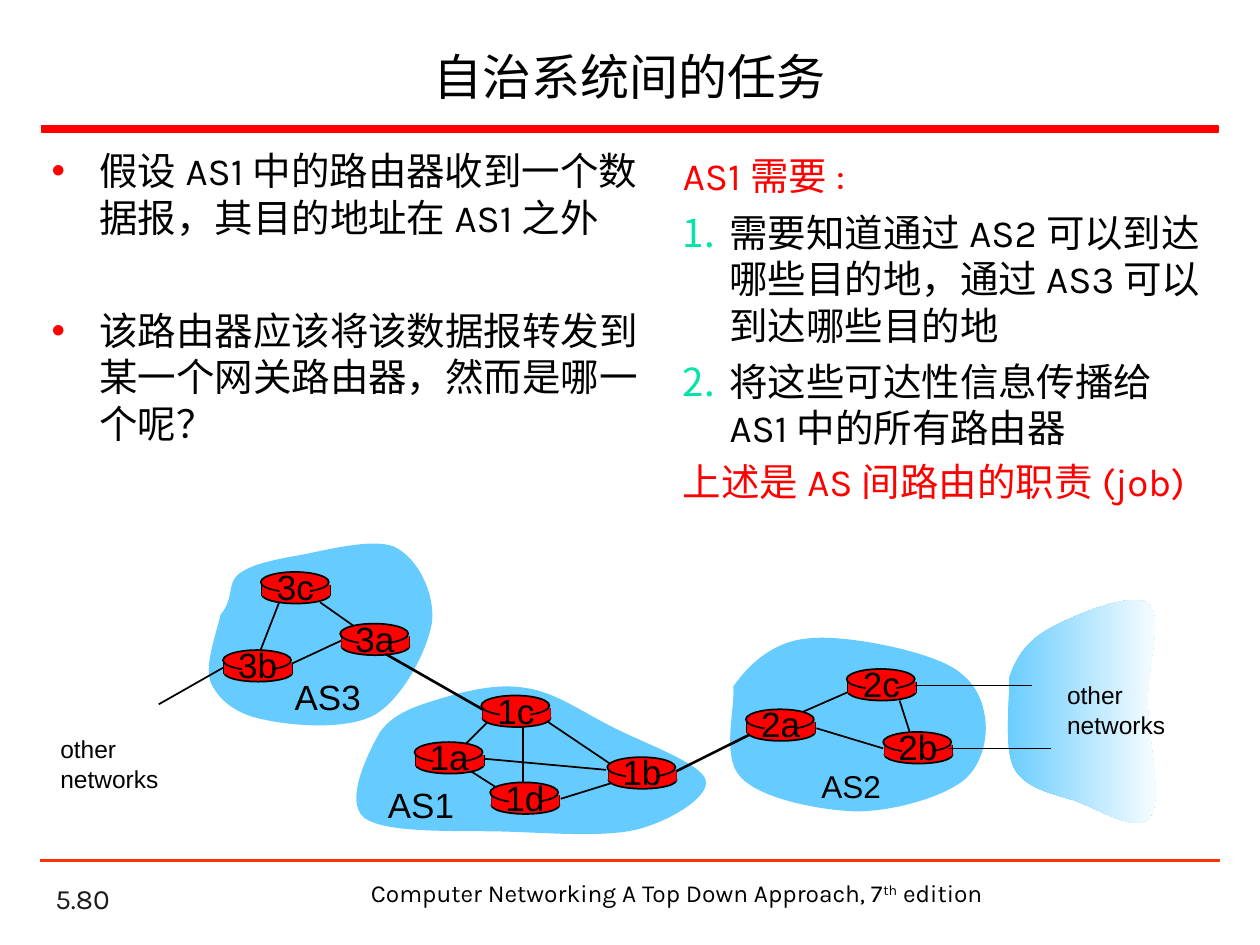
import pptx
import pptx.dml.color
import pptx.enum.shapes
import pptx.enum.text
import pptx.oxml.ns
import pptx.util
from lxml import etree

PX = 9144
SHAPE = pptx.enum.shapes.MSO_SHAPE
ALIGN = pptx.enum.text.PP_ALIGN
ANCHOR = pptx.enum.text.MSO_ANCHOR
AUTO = pptx.enum.text.MSO_AUTO_SIZE
RED, BLACK, SKY, MINT = "FF0000", "000000", "66CCFF", "00E4A8"


def px(n):
    return pptx.util.Emu(round(n * PX))


def rgb(value):
    return pptx.dml.color.RGBColor.from_string(value)


def style(p, size, font, color):
    for r in p.runs:
        r.font.size = pptx.util.Pt(size)
        r.font.name = font
        r.font.color.rgb = rgb(color)


def add_text(s, box, text, size, font="Arial", color=BLACK, align=ALIGN.LEFT, wrap=False, anchor=ANCHOR.TOP):
    tf = s.shapes.add_textbox(*map(px, box)).text_frame
    tf.word_wrap = wrap
    tf.auto_size = AUTO.NONE if wrap else AUTO.SHAPE_TO_FIT_TEXT
    tf.vertical_anchor = anchor
    tf.text = text
    for p in tf.paragraphs:
        p.alignment = align
        style(p, size, font, color)
    return tf


def add_shape(s, kind, box, fill, line=None):
    sp = s.shapes.add_shape(kind, *map(px, box))
    sp.shadow.inherit = False
    sp.fill.solid()
    sp.fill.fore_color.rgb = rgb(fill)
    if line:
        sp.line.color.rgb = rgb(line)
        sp.line.width = pptx.util.Pt(1)
    else:
        sp.line.fill.background()


def add_line(s, ends, width=1, color=BLACK, x=0, y=0):
    x1, y1, x2, y2 = ends
    cn = s.shapes.add_connector(pptx.enum.shapes.MSO_CONNECTOR.STRAIGHT,
                                px(x + x1), px(y + y1), px(x + x2), px(y + y2))
    cn.line.color.rgb = rgb(color)
    cn.line.width = pptx.util.Pt(width)
    etree.SubElement(cn._element.spPr, pptx.oxml.ns.qn("a:effectLst"))


def add_blob(s, x, y, start, curves):
    points = [(px(c[i]), px(c[i + 1])) for c in curves for i in (0, 2, 4)]
    fb = s.shapes.build_freeform(px(start[0]), px(start[1]))
    fb.add_line_segments(points, close=True)
    sp = fb.convert_to_shape(px(x), px(y))
    segments = list(sp._element.iter(pptx.oxml.ns.qn("a:lnTo")))
    for i in range(0, len(segments), 3):
        curve = etree.Element(pptx.oxml.ns.qn("a:cubicBezTo"))
        segments[i].addprevious(curve)
        for segment in segments[i:i + 3]:
            curve.append(segment[0])
            segment.getparent().remove(segment)
    sp.shadow.inherit = False
    sp.fill.solid()
    sp.fill.fore_color.rgb = rgb(SKY)
    sp.line.fill.background()
    return sp


def add_router(s, x, y, name):
    add_shape(s, SHAPE.OVAL, (x + 1, y + 11, 54, 14), RED, BLACK)
    for side in (1, 55):
        add_line(s, (side, 10, side, 19), x=x, y=y)
    add_shape(s, SHAPE.RECTANGLE, (x + 1, y + 10, 54, 9), RED)
    add_shape(s, SHAPE.OVAL, (x, y, 54, 16), RED, BLACK)
    add_shape(s, SHAPE.RECTANGLE, (x + 15, y + 2, 24, 21), RED)
    add_text(s, (x + 2, y - 10, 51, 43), name, 20, align=ALIGN.CENTER)


def add_system(s, x, y, start, curves, label, links, routers):
    add_blob(s, x, y, start, curves)
    name, dx, dy, width, height, size = label
    add_text(s, (x + dx, y + dy, width, height), name, size)
    for ends in links:
        add_line(s, ends, x=x, y=y)
    for name, (dx, dy) in routers.items():
        add_router(s, x + dx, y + dy, name)


def add_outside(s, x, y):
    curves = [(11, 52, 19, 40, 37, 30), (55, 20, 102, 0, 115, 10), (128, 20, 114, 60, 115, 89),
              (115, 117, 127, 166, 117, 179), (108, 193, 77, 174, 59, 167),
              (40, 161, 18, 157, 9, 141), (0, 124, 6, 84, 5, 69)]
    fill = add_blob(s, x, y, (5, 69), curves).fill
    fill.gradient()
    fill.gradient_angle = 0
    for stop, color in zip(fill.gradient_stops, (SKY, "FFFFFF")):
        stop.color.rgb = rgb(color)


def place(sp, box):
    sp.left, sp.top, sp.width, sp.height = map(px, box)
    sp.text_frame.word_wrap = True
    sp.text_frame.auto_size = AUTO.NONE
    return sp.text_frame


def add_title(s, box, text):
    tf = place(s.shapes.title, box)
    tf.text = text
    tf.vertical_anchor = ANCHOR.MIDDLE
    p = tf.paragraphs[0]
    p.alignment = ALIGN.CENTER
    style(p, 28, "Karla", BLACK)


def set_bullet(p, indent, tag, color=None, **attrs):
    pPr = p._p.get_or_add_pPr()
    pPr.set("marL", str(px(indent)))
    pPr.set("indent", str(-px(indent)))
    if color:
        clr = etree.SubElement(pPr, pptx.oxml.ns.qn("a:buClr"))
        etree.SubElement(clr, pptx.oxml.ns.qn("a:srgbClr"), val=color)
    etree.SubElement(pPr, pptx.oxml.ns.qn(tag), **attrs)


def add_list(sp, box, items):
    tf = place(sp, box)
    tf.text = "\n".join(text for text, *_ in items)
    for p, (_, kind, gap) in zip(tf.paragraphs, items):
        if kind == "dot":
            set_bullet(p, 38, "a:buChar", RED, char="•")
        elif kind == "number":
            set_bullet(p, 37, "a:buAutoNum", MINT, type="arabicPeriod")
        else:
            set_bullet(p, 50, "a:buNone")
        p.space_before = pptx.util.Pt(gap)
        style(p, 22, "Karla", RED if kind == "plain" else BLACK)


def add_footer(s, x, y):
    add_line(s, (0, 0, 936, 0), 1.5, "FF3300", x, y)
    add_text(s, (x + 2, y + 15, 208, 33), "5.80", 16, "Karla", "1C1C1C", wrap=True, anchor=ANCHOR.BOTTOM)
    tf = add_text(s, (x + 251, y + 9, 508, 34), "Computer Networking A Top Down Approach, 7", 14,
                  "Karla", align=ALIGN.CENTER, wrap=True)
    p = tf.paragraphs[0]
    for text in ("th", " edition"):
        p.add_run().text = text
    style(p, 14, "Karla", BLACK)
    p.runs[1].font._element.set("baseline", "30000")


def add_network(s):
    add_outside(s, 796, 469)
    add_system(s, 572, 503, (10, 42),
               [(21, 26, 40, 7, 67, 4), (94, 0, 148, 11, 172, 21), (196, 30, 206, 46, 209, 62),
                (213, 78, 209, 104, 192, 117), (175, 130, 137, 141, 107, 141),
                (78, 140, 32, 131, 16, 114), (0, 98, 12, 57, 10, 42)],
               ("AS2", 70, 101, 67, 40, 18),
               [(56, 66, 104, 45), (76, 75, 129, 91), (142, 53, 150, 78)],
               {"2a": (20, 60), "2c": (100, 28), "2b": (129, 78)})
    add_system(s, 162, 426, (13, 62),
               [(24, 49, 18, 38, 27, 30), (36, 23, 48, 20, 68, 16), (89, 13, 132, 0, 151, 8),
                (170, 17, 183, 45, 181, 67), (178, 89, 158, 128, 136, 141),
                (114, 154, 68, 150, 47, 145), (25, 141, 11, 129, 5, 115), (0, 101, 11, 73, 13, 62)],
               ("AS3", 62, 105, 73, 43, 20),
               [(69, 101, 112, 81), (119, 71, 92, 52), (60, 51, 44, 92)],
               {"3b": (15, 90), "3c": (45, 28), "3a": (108, 69)})
    add_system(s, 273, 542, (28, 40),
               [(38, 25, 55, 19, 75, 13), (94, 7, 121, 0, 144, 4), (167, 7, 189, 23, 213, 35),
                (236, 47, 284, 64, 287, 77), (291, 90, 260, 109, 234, 116),
                (207, 123, 163, 119, 127, 118), (91, 117, 33, 120, 16, 107), (0, 94, 19, 56, 28, 40)],
               ("AS1", 25, 75, 73, 43, 20),
               [(114, 31, 97, 48), (142, 34, 142, 84), (159, 29, 214, 66),
                (214, 79, 172, 92), (208, 69, 109, 60), (99, 69, 121, 83)],
               {"1c": (109, 10), "1a": (56, 47), "1d": (116, 79), "1b": (209, 59)})
    for ends, width in (((726, 544, 819, 544), 0.75), ((753, 594, 834, 594), 0.75),
                        ((177, 530, 126, 559), 1), ((537, 612, 595, 583), 1.5),
                        ((306, 519, 383, 563), 1.5)):
        add_line(s, ends, width)
    for x, y in ((837, 535), (38, 578)):
        add_text(s, (x, y, 98, 57), "other\nnetworks", 14)


def main():
    prs = pptx.Presentation()
    prs.slide_width, prs.slide_height = px(1000), px(750)
    s = prs.slides.add_slide(prs.slide_layouts[3])
    add_title(s, (37, 25, 925, 70), "自治系统间的任务")
    add_shape(s, SHAPE.RECTANGLE, (33, 100, 934, 5), RED, RED)
    add_list(s.placeholders[1], (31, 112, 505, 255),
             [("假设AS1中的路由器收到一个数据报，其目的地址在AS1之外", "dot", 0),
              ("该路由器应该将该数据报转发到某一个网关路由器，然而是哪一个呢？", "dot", 38.5)])
    add_list(s.placeholders[2], (532, 116, 434, 311),
             [("AS1需要:", "plain", 0),
              ("需要知道通过AS2可以到达哪些目的地，通过AS3可以到达哪些目的地", "number", 6),
              ("将这些可达性信息传播给AS1中的所有路由器", "number", 6),
              ("上述是AS间路由的职责(job)", "plain", 4.4)])
    add_network(s)
    add_footer(s, 32, 683)
    prs.save("out.pptx")


if __name__ == "__main__":
    main()
